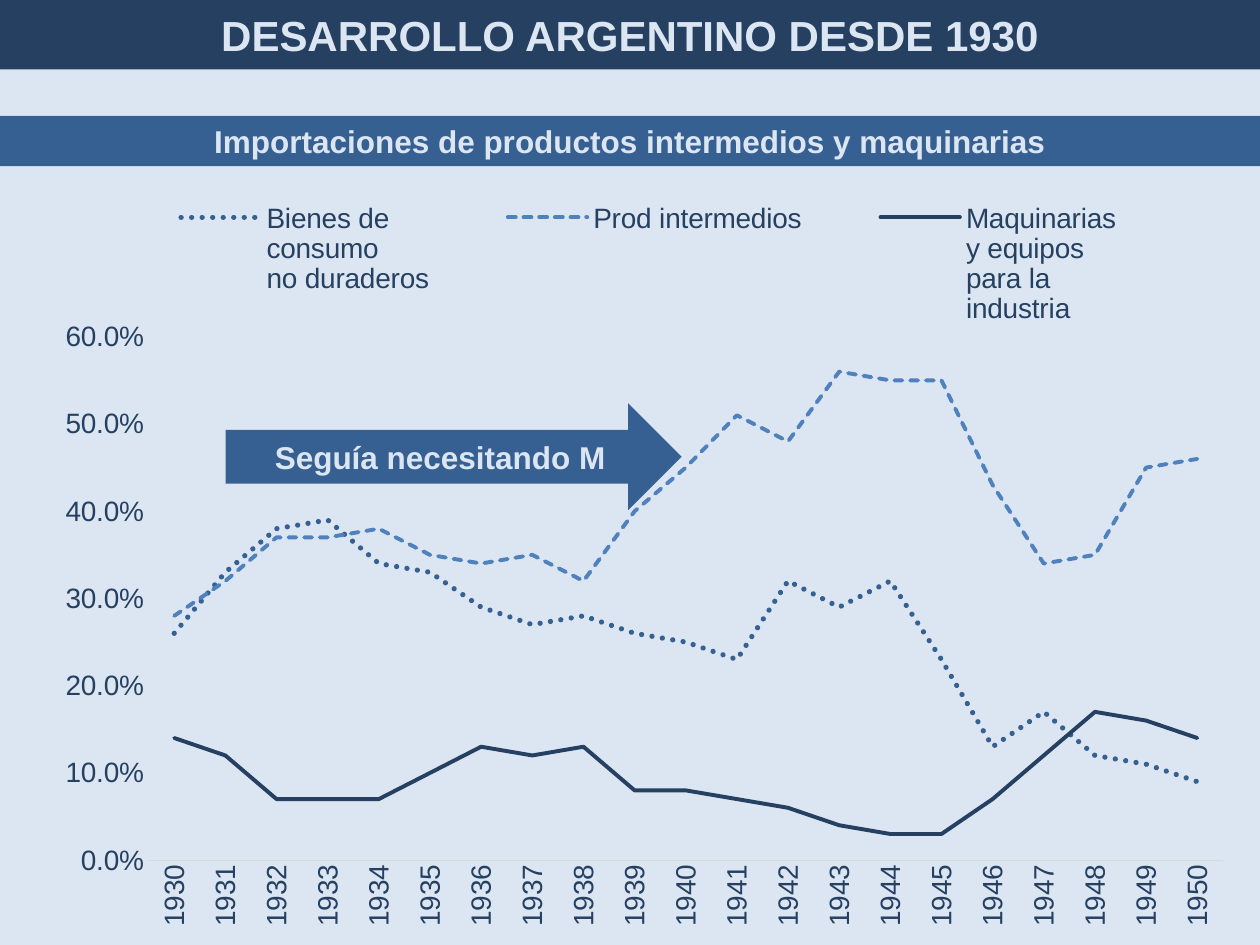
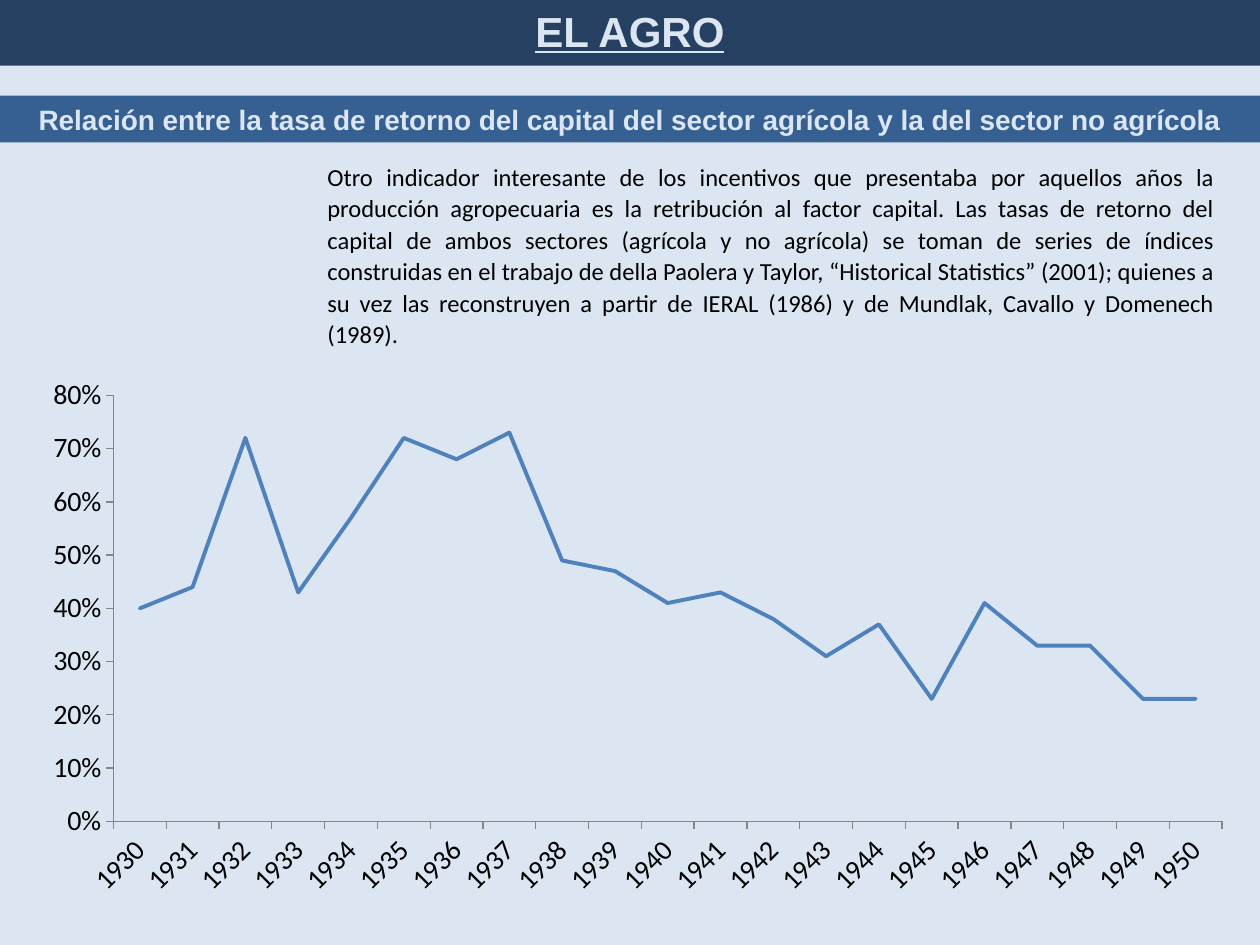
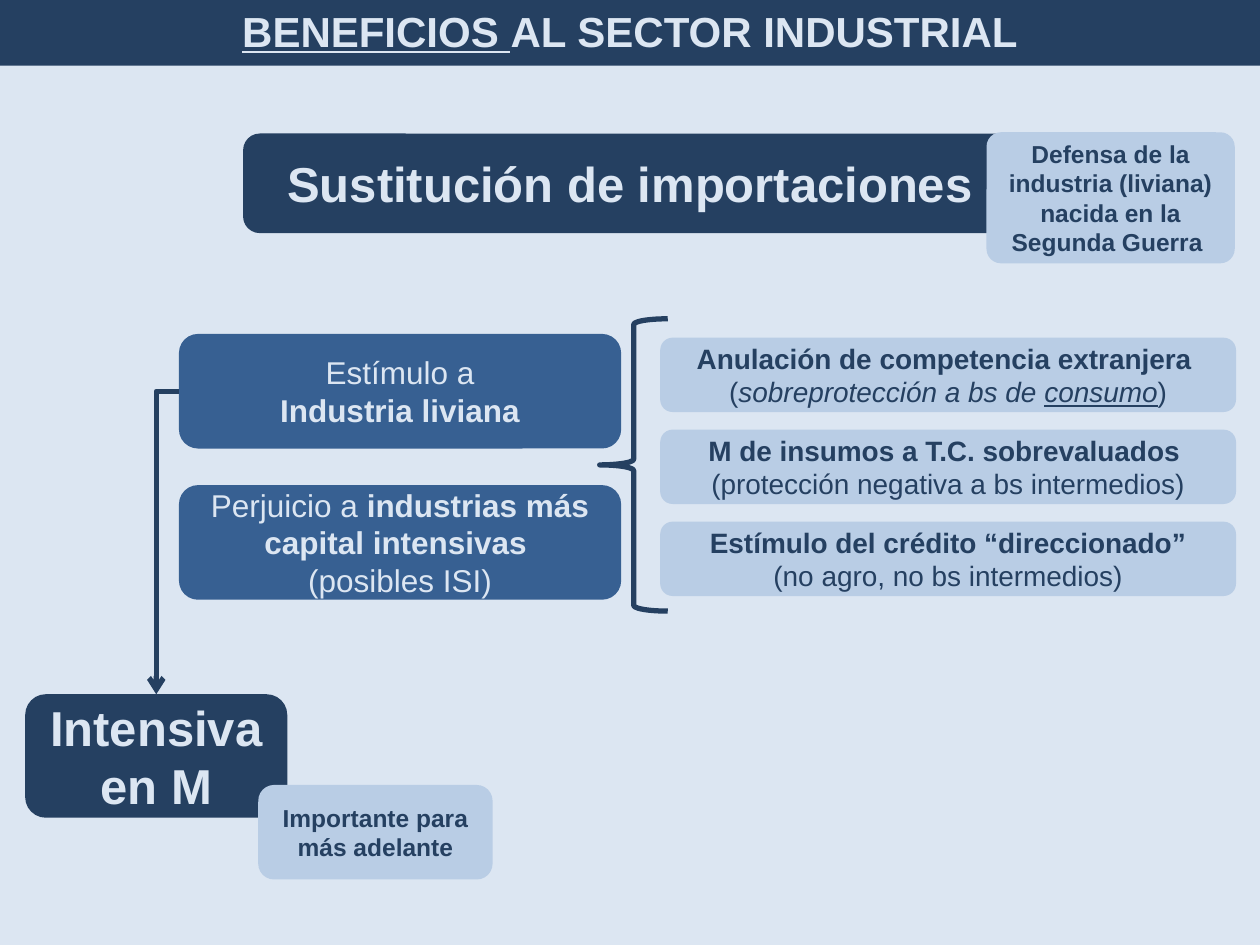
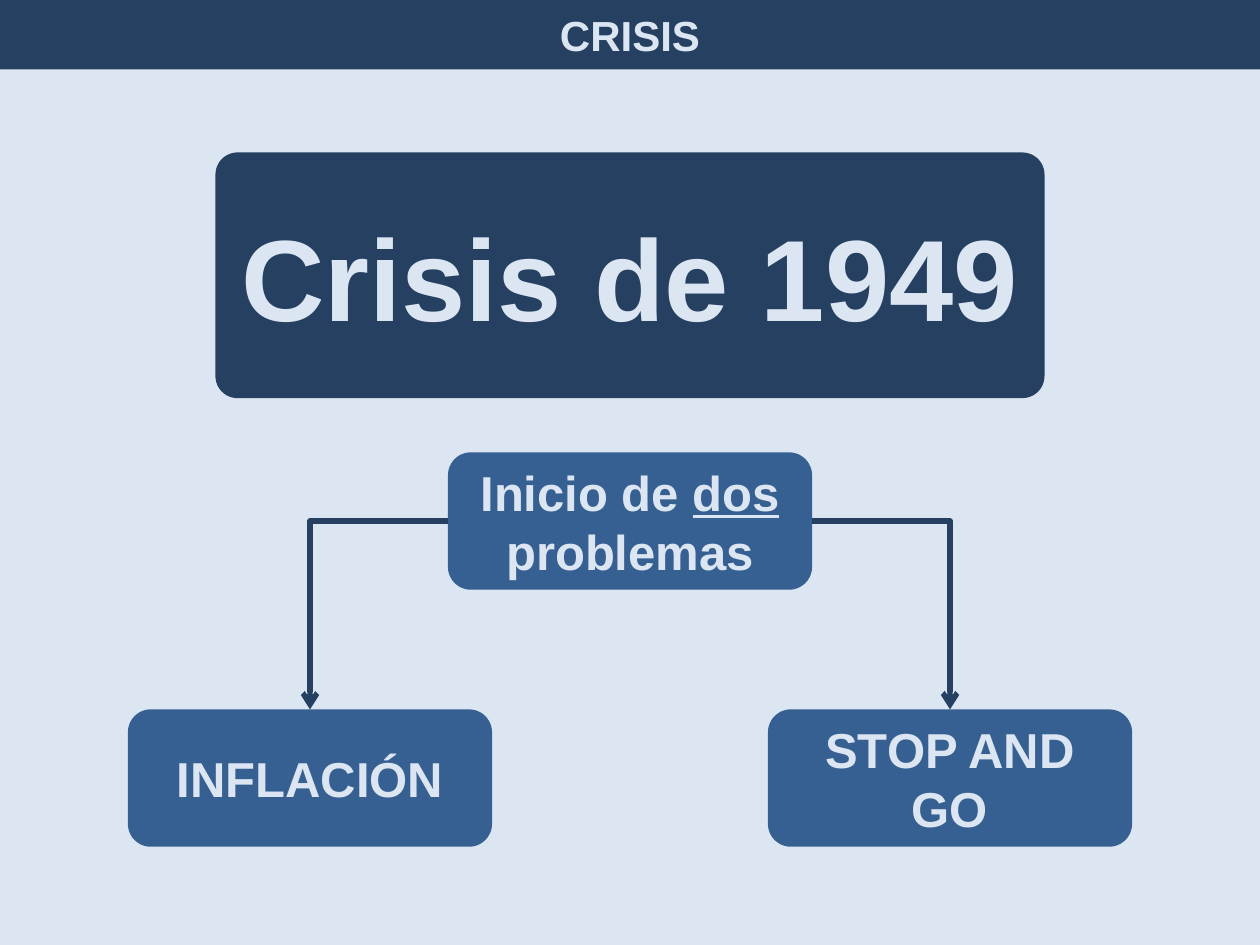
from lxml import etree
from pptx import Presentation, util as u
from pptx.chart.data import CategoryChartData
from pptx.dml.color import RGBColor
from pptx.enum import chart as ch, dml, shapes, text
from pptx.oxml import parse_xml
from pptx.oxml.ns import nsdecls, qn

PALE = RGBColor(0xDC, 0xE6, 0xF2)
NAVY = RGBColor(0x25, 0x40, 0x61)
BLUE = RGBColor(0x37, 0x60, 0x92)
SKY = RGBColor(0x4F, 0x81, 0xBD)
MIST = RGBColor(0xB9, 0xCD, 0xE5)
BLACK = RGBColor(0, 0, 0)
GREY = RGBColor(0x86, 0x86, 0x86)
RULE = RGBColor(0xD9, 0xD9, 0xD9)
WIDE, HIGH = 10, 7.5
FORM = shapes.MSO_SHAPE
DASH = dml.MSO_LINE

# A box text is a list of paragraphs; a paragraph is a list of runs
# (words, marks), where the marks are b, i and u.
TITLES = [
    [("DESARROLLO ARGENTINO DESDE 1930", "b")],
    [("EL AGRO", "bu")],
    [("BENEFICIOS ", "bu"), ("AL SECTOR INDUSTRIAL", "b")],
    [("CRISIS", "b")],
]
IMPORTS = "Importaciones de productos intermedios y maquinarias"
RETURNS = ("Relación entre la tasa de retorno del capital del sector agrícola "
           "y la del sector no agrícola")
NOTE = (
    "Otro indicador interesante de los incentivos que presentaba por aquellos "
    "años la producción agropecuaria es la retribución al factor capital. Las "
    "tasas de retorno del capital de ambos sectores (agrícola y no agrícola) se "
    "toman de series de índices construidas en el trabajo de della Paolera y "
    "Taylor, “Historical Statistics” (2001); quienes a su vez las reconstruyen a "
    "partir de IERAL (1986) y de Mundlak, Cavallo y Domenech (1989).")

YEARS = [str(y) for y in range(1930, 1951)]
GOODS = [  # name, per cent of imports, colour, width, dash
    ("Bienes de \nconsumo \nno duraderos",
     [26, 33, 38, 39, 34, 33, 29, 27, 28, 26, 25, 23, 32, 29, 32, 23, 13, 17,
      12, 11, 9], BLUE, 3, DASH.ROUND_DOT),
    ("Prod intermedios",
     [28, 32, 37, 37, 38, 35, 34, 35, 32, 40, 45, 51, 48, 56, 55, 55, 43, 34,
      35, 45, 46], SKY, 2.25, DASH.SQUARE_DOT),
    ("Maquinarias\ny equipos\npara la\nindustria",
     [14, 12, 7, 7, 7, 10, 13, 12, 13, 8, 8, 7, 6, 4, 3, 3, 7, 12, 17, 16, 14],
     NAVY, 2.25, None),
]
FARM = [
    ("Series 1",
     [40, 44, 72, 43, 57, 72, 68, 73, 49, 47, 41, 43, 38, 31, 37, 23, 41, 33,
      33, 23, 23], SKY, 2.25, None),
]

LIGHT = [[("Estímulo a", "")], [("Industria liviana", "b")]]
HEAVY = [[("Perjuicio a ", ""), ("industrias más capital intensivas ", "b")],
         [("(posibles ISI)", "")]]
AIDS = [
    [[("Anulación de competencia extranjera ", "b")],
     [("(", ""), ("sobreprotección a bs de ", "i"), ("consumo", "iu"), (")", "")]],
    [[("M de insumos a T.C. sobrevaluados ", "b")],
     [("(protección negativa a bs intermedios)", "")]],
    [[("Estímulo del crédito “direccionado”", "b")],
     [("(no agro, no bs intermedios)", "")]],
]
DEFENCE = [[("Defensa de la industria (liviana)", "b")],
           [("nacida en la Segunda Guerra ", "b")]]
INPUTS = [[("Intensiva ", "b")], [("en M", "b")]]
START = [[("Inicio de ", "b"), ("dos", "bu"), (" problemas", "b")]]
ENDS = ["INFLACIÓN", "STOP AND GO"]


def bold(words):
    return [[(words, "b")]]


def inch(*nums):
    return [u.Inches(n) for n in nums]


def write(frame, paras, size, ink, face="Arial", align=text.PP_ALIGN.CENTER):
    frame.word_wrap = True
    for i, runs in enumerate(paras):
        para = frame.paragraphs[0] if i == 0 else frame.add_paragraph()
        para.alignment = align
        font = para.font
        font.size, font.name = u.Pt(size), face
        font.color.rgb = ink
        same = len({marks for _, marks in runs}) == 1
        for words, marks in runs:
            run = para.add_run()
            run.text = words
            spot = font if same else run.font
            spot.bold = "b" in marks
            spot.italic = "i" in marks
            spot.underline = "u" in marks


def box(slide, at, paras, size, fill=BLUE, ink=PALE, form=FORM.ROUNDED_RECTANGLE,
        bend=None):
    shape = slide.shapes.add_shape(form, *inch(*at))
    shape.shadow.inherit = False
    shape.fill.solid()
    shape.fill.fore_color.rgb = fill
    shape.line.fill.background()
    if bend is not None:
        shape.adjustments[0] = bend
    shape.text_frame.vertical_anchor = text.MSO_ANCHOR.MIDDLE
    write(shape.text_frame, paras, size, ink)
    return shape


def band(slide, top, high, words, size):
    box(slide, (0, top, WIDE, high), bold(words), size, form=FORM.RECTANGLE)


def elbow(slide, x1, y1, x2, y2):
    """Run sideways from the first point, then down to an arrowhead."""
    link = slide.shapes.add_connector(
        shapes.MSO_CONNECTOR.ELBOW, *inch(x1, y1, x2, y2))
    link.line.color.rgb = NAVY
    link.line.width = u.Pt(3)
    props = link._element.spPr
    props.find(qn("a:prstGeom")).set("prst", "bentConnector2")
    etree.SubElement(props.find(qn("a:ln")), qn("a:tailEnd"), type="arrow")
    etree.SubElement(props, qn("a:effectLst"))
    if x2 < x1:
        frame = props.find(qn("a:xfrm"))
        frame.flipH, frame.flipV, frame.rot = False, True, 180


def place(node, spot, at, inner=False):
    """Give a chart part a fixed place, in shares of the chart."""
    old = node.find(qn("c:layout"))
    if old is not None:
        node.remove(old)
    rows = [("layoutTarget", "inner")] if inner else []
    rows += [("xMode", "edge"), ("yMode", "edge"), *zip("xywh", at)]
    body = "".join(f'<c:{tag} val="{val}"/>' for tag, val in rows)
    node.insert(spot, parse_xml(
        f'<c:layout {nsdecls("c")}><c:manualLayout>{body}'
        "</c:manualLayout></c:layout>"))


def plot(slide, at, rows, area, top, form, face, ink, tilt, tick, edge):
    data = CategoryChartData(number_format=form)
    data.categories = YEARS
    for name, vals, *_ in rows:
        data.add_series(name, [v / 100 for v in vals])
    chart = slide.shapes.add_chart(
        ch.XL_CHART_TYPE.LINE, *inch(*at), data).chart
    chart.has_title = chart.has_legend = False
    chart.font.size, chart.font.name = u.Pt(16), face
    chart.font.color.rgb = ink
    chart.plots[0].vary_by_categories = False
    for line, (_, _, tint, wide, dash) in zip(chart.plots[0].series, rows):
        line.smooth = False
        pen = line.format.line
        pen.color.rgb, pen.width = tint, u.Pt(wide)
        if dash:
            pen.dash_style = dash
        line._element.spPr.find(qn("a:ln")).set("cap", "rnd")
    cat, val = chart.category_axis, chart.value_axis
    for axis in (cat, val):
        axis.has_major_gridlines = False
        axis.major_tick_mark = tick
        axis.minor_tick_mark = ch.XL_TICK_MARK.NONE
        axis.format.line.color.rgb = edge
        axis.format.line.width = u.Pt(0.75)
        font = axis.tick_labels.font
        font.size, font.name = u.Pt(16), face
        font.color.rgb = ink
    cat._element.txPr.find(qn("a:bodyPr")).set("rot", str(tilt * 60000))
    val.minimum_scale, val.maximum_scale, val.major_unit = 0, top, 0.1
    val.tick_labels.number_format = form
    val.tick_labels.number_format_is_linked = False
    place(chart._chartSpace.chart.plotArea, 0, area, True)
    return chart


def imports(slide):
    band(slide, 0.92, 0.4, IMPORTS, 18)
    chart = plot(slide, (0.2, 1.39, 9.8, 6.11), GOODS, (0.1, 0.21, 0.87, 0.68),
                 0.6, "0.0%", "Arial", NAVY, -90, ch.XL_TICK_MARK.NONE, RULE)
    chart.value_axis.format.line.fill.background()
    chart.has_legend = True
    key = chart.legend
    key.position = ch.XL_LEGEND_POSITION.RIGHT
    key.include_in_layout = False
    key.font.size, key.font.name = u.Pt(16), "Arial"
    key.font.color.rgb = NAVY
    place(key._element, 1, (0.07, 0.03, 0.87, 0.17))
    box(slide, (1.79, 3.2, 3.62, 0.85), bold("Seguía necesitando M"), 18,
        form=FORM.RIGHT_ARROW)


def farming(slide):
    band(slide, 0.76, 0.37, RETURNS, 16)
    note = slide.shapes.add_textbox(*inch(2.5, 1.22, 7.24, 1.6)).text_frame
    write(note, [[(NOTE, "")]], 14, BLACK, "Calibri", text.PP_ALIGN.JUSTIFY)
    note.paragraphs[0].line_spacing = 1.07
    note.paragraphs[0].space_after = u.Pt(8)
    plot(slide, (0, 2.91, WIDE, 4.57), FARM, (0.09, 0.05, 0.88, 0.74),
         0.8, "0%", "Calibri", BLACK, -45, ch.XL_TICK_MARK.OUTSIDE, GREY)


def industry(slide):
    brace = slide.shapes.add_shape(FORM.LEFT_BRACE, *inch(4.76, 2.53, 0.54, 2.32))
    brace.shadow.inherit = False
    brace.fill.background()
    brace.line.color.rgb, brace.line.width = NAVY, u.Pt(3)
    left, top, high = 1.42, 2.65, 0.91
    for i, paras in enumerate((LIGHT, HEAVY)):
        box(slide, (left, top + 1.2 * i, 3.51, high), paras, 18)
    for i, paras in enumerate(AIDS):
        box(slide, (5.24, 2.68 + 0.73 * i, 4.57, 0.59), paras, 16, MIST, NAVY)
    base = (0.2, 5.51, 2.08, 0.98)
    box(slide, base, INPUTS, 28, NAVY)
    elbow(slide, left, top + high / 2, base[0] + base[2] / 2, base[1])
    box(slide, (2.05, 6.23, 1.86, 0.75), bold("Importante para más adelante"),
        14, MIST, NAVY)
    box(slide, (1.93, 1.06, 6.14, 0.79), bold("Sustitución de importaciones"),
        28, NAVY)
    box(slide, (7.83, 1.05, 1.97, 1.04), DEFENCE, 14, MIST, NAVY, bend=0.11)


def crisis(slide):
    mid, wide, high, reach = WIDE / 2, 2.89, 1.09, 2.54
    head, foot = 3.59, 5.63
    box(slide, (mid - 3.29, 1.21, 6.58, 1.95), bold("Crisis de 1949"), 66, NAVY,
        bend=0.09)
    box(slide, (mid - wide / 2, head, wide, high), START, 28)
    for side, words in zip((-1, 1), ENDS):
        x = mid + side * reach
        box(slide, (x - wide / 2, foot, wide, high), bold(words), 28)
        elbow(slide, mid + side * wide / 2, head + high / 2, x, foot)


def main():
    deck = Presentation()
    deck.slide_width, deck.slide_height = inch(WIDE, HIGH)
    tops = (0, -0.03, -0.03, 0)
    for fill, title, top in zip((imports, farming, industry, crisis), TITLES, tops):
        slide = deck.slides.add_slide(deck.slide_layouts[6])
        slide.background.fill.solid()
        slide.background.fill.fore_color.rgb = PALE
        fill(slide)
        box(slide, (0, top, WIDE, 0.55), [title], 24, NAVY, bend=0)
    deck.save("out.pptx")


if __name__ == "__main__":
    main()
